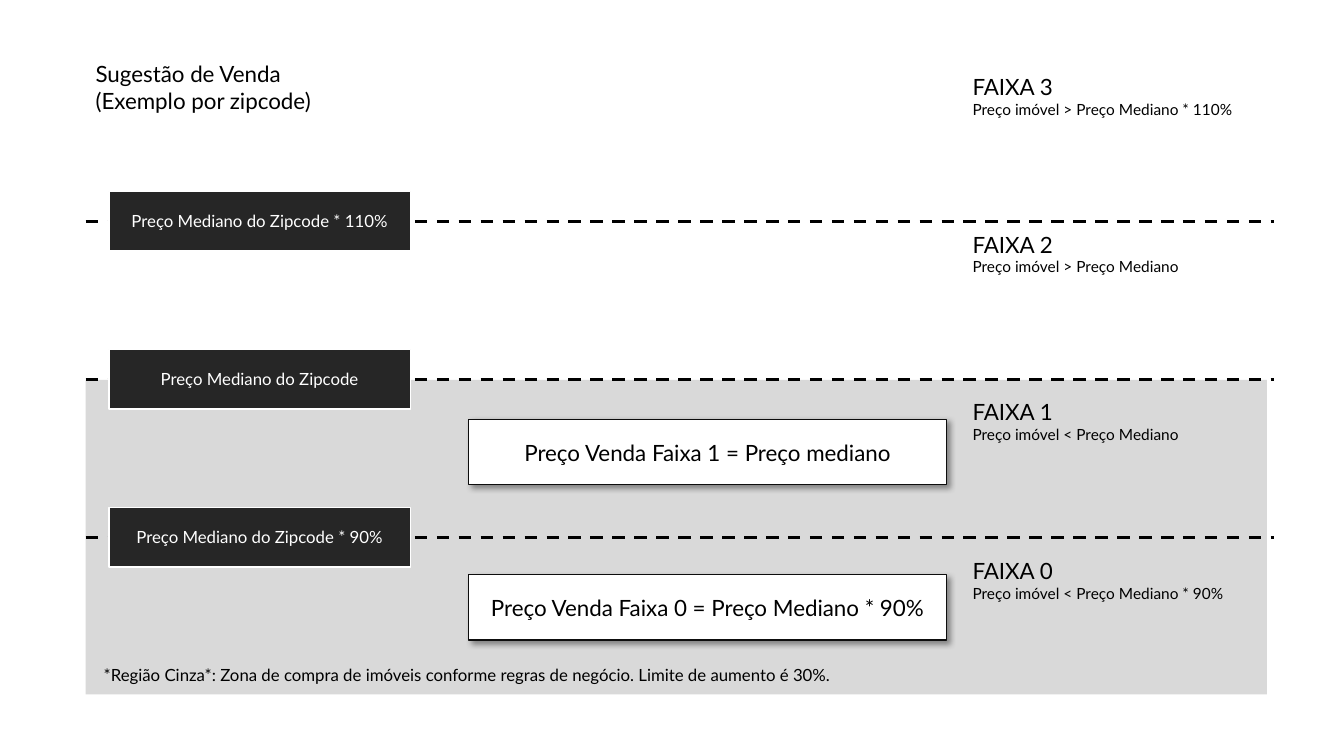
from collections import namedtuple

from lxml import etree
from pptx import Presentation
from pptx.dml.color import RGBColor
from pptx.enum.dml import MSO_LINE
from pptx.enum.shapes import MSO_CONNECTOR, MSO_SHAPE
from pptx.enum.text import MSO_ANCHOR, PP_ALIGN
from pptx.oxml.ns import qn
from pptx.util import Pt

RECTANGLE = MSO_SHAPE.RECTANGLE
STRAIGHT = MSO_CONNECTOR.STRAIGHT
DASH = MSO_LINE.DASH
TOP, MIDDLE = MSO_ANCHOR.TOP, MSO_ANCHOR.MIDDLE
LEFT, CENTER = PP_ALIGN.LEFT, PP_ALIGN.CENTER

BLACK = RGBColor(0x00, 0x00, 0x00)
WHITE = RGBColor(0xFF, 0xFF, 0xFF)
CHARCOAL = RGBColor(0x26, 0x26, 0x26)
OUTLINE = RGBColor(0x0D, 0x0D, 0x0D)
GREY = RGBColor(0xD9, 0xD9, 0xD9)
FONT = "Lato"
EMU_PER_POINT = 12700

Box = namedtuple("Box", "left top width height")


def lengths(box):
    return [Pt(value) for value in box]


def write(shape, lines, color=BLACK, align=LEFT, anchor=TOP):
    """Fill a shape with (text, size) lines."""
    frame = shape.text_frame
    frame.word_wrap = True
    frame.vertical_anchor = anchor
    for index, (text, size) in enumerate(lines):
        para = frame.paragraphs[0] if index == 0 else frame.add_paragraph()
        para.text = text
        para.alignment = align
        para.font.name = FONT
        para.font.size = Pt(size)
        para.font.color.rgb = color


def add_text(page, box, lines):
    write(page.shapes.add_textbox(*lengths(box)), lines)


def add_rectangle(page, box, fill, outline=None):
    shape = page.shapes.add_shape(RECTANGLE, *lengths(box))
    shape.shadow.inherit = False
    shape.fill.solid()
    shape.fill.fore_color.rgb = fill
    if outline is None:
        shape.line.fill.background()
    else:
        shape.line.color.rgb = outline
        shape.line.width = Pt(1)
    return shape


def add_drop_shadow(shape):
    effects = shape._element.spPr.find(qn("a:effectLst"))
    shadow = etree.SubElement(
        effects, qn("a:outerShdw"), blurRad=str(4 * EMU_PER_POINT),
        dist=str(3 * EMU_PER_POINT), dir=str(45 * 60000), algn="tl", rotWithShape="0")
    color = etree.SubElement(shadow, qn("a:srgbClr"), val=str(BLACK))
    etree.SubElement(color, qn("a:alpha"), val="40000")


def add_threshold(page, box, label):
    """Dashed line through the middle of the box, with a dark label at its left."""
    middle = box.top + box.height / 2
    line = page.shapes.add_connector(
        STRAIGHT, Pt(box.left), Pt(middle), Pt(box.left + box.width), Pt(middle))
    line.line.color.rgb = BLACK
    line.line.width = Pt(2.25)
    line.line.dash_style = DASH
    etree.SubElement(line._element.spPr, qn("a:effectLst"))

    label_box = Box(box.left + 16.6, box.top, 215.3, box.height)
    tag = add_rectangle(page, label_box, CHARCOAL, WHITE)
    write(tag, [(label, 12)], WHITE, CENTER, MIDDLE)


def add_sale_price(page, box, text):
    card = add_rectangle(page, box, WHITE, OUTLINE)
    add_drop_shadow(card)
    write(card, [(text, 16)], BLACK, CENTER, MIDDLE)


def add_buying_zone(page, box):
    """Grey region with its footnote along the bottom."""
    add_rectangle(page, box, GREY)
    note = Box(box.left + 5.8, box.top + box.height - 24.5, 614.2, 21.6)
    add_text(page, note, [(
        "*Região Cinza*: Zona de compra de imóveis conforme regras de negócio. "
        "Limite de aumento é 30%.", 12)])


def build_price_bands(page, box):
    # Heading and grey zone
    add_text(page, Box(box.left, box.top, 190.8, 46),
             [("Sugestão de Venda", 16), ("(Exemplo por zipcode)", 16)])
    add_buying_zone(page, Box(box.left, box.top + 231.8, 843.8, 224.6))

    # Thresholds, evenly spaced
    for row, suffix in enumerate((" * 110%", "", " * 90%")):
        top = box.top + 97.1 + row * 112.9
        add_threshold(page, Box(box.left, top, box.width, 42.5),
                      "Preço Mediano do Zipcode" + suffix)

    # Band names and conditions
    bands = ((3, 9.4, "> Preço Mediano * 110%"), (2, 121.7, "> Preço Mediano"),
             (1, 241.2, "< Preço Mediano"), (0, 355, "< Preço Mediano * 90%"))
    for number, offset, condition in bands:
        add_text(page, Box(box.left + 626.4, box.top + offset, 205.9, 41),
                 [(f"FAIXA {number}", 16), (f"Preço imóvel {condition}", 11)])

    # Suggested sale prices
    prices = ((1, 259.9, "Preço mediano"), (0, 370.8, "Preço Mediano * 90%"))
    for number, offset, price in prices:
        add_sale_price(page, Box(box.left + 273.6, box.top + offset, 341.3, 46.8),
                       f"Preço Venda Faixa {number} = {price}")


deck = Presentation()
deck.slide_width, deck.slide_height = Pt(960), Pt(540)
blank_layout = deck.slide_layouts[6]
build_price_bands(deck.slides.add_slide(blank_layout), Box(61.2, 39.6, 848.9, 456.4))
deck.save("out.pptx")
